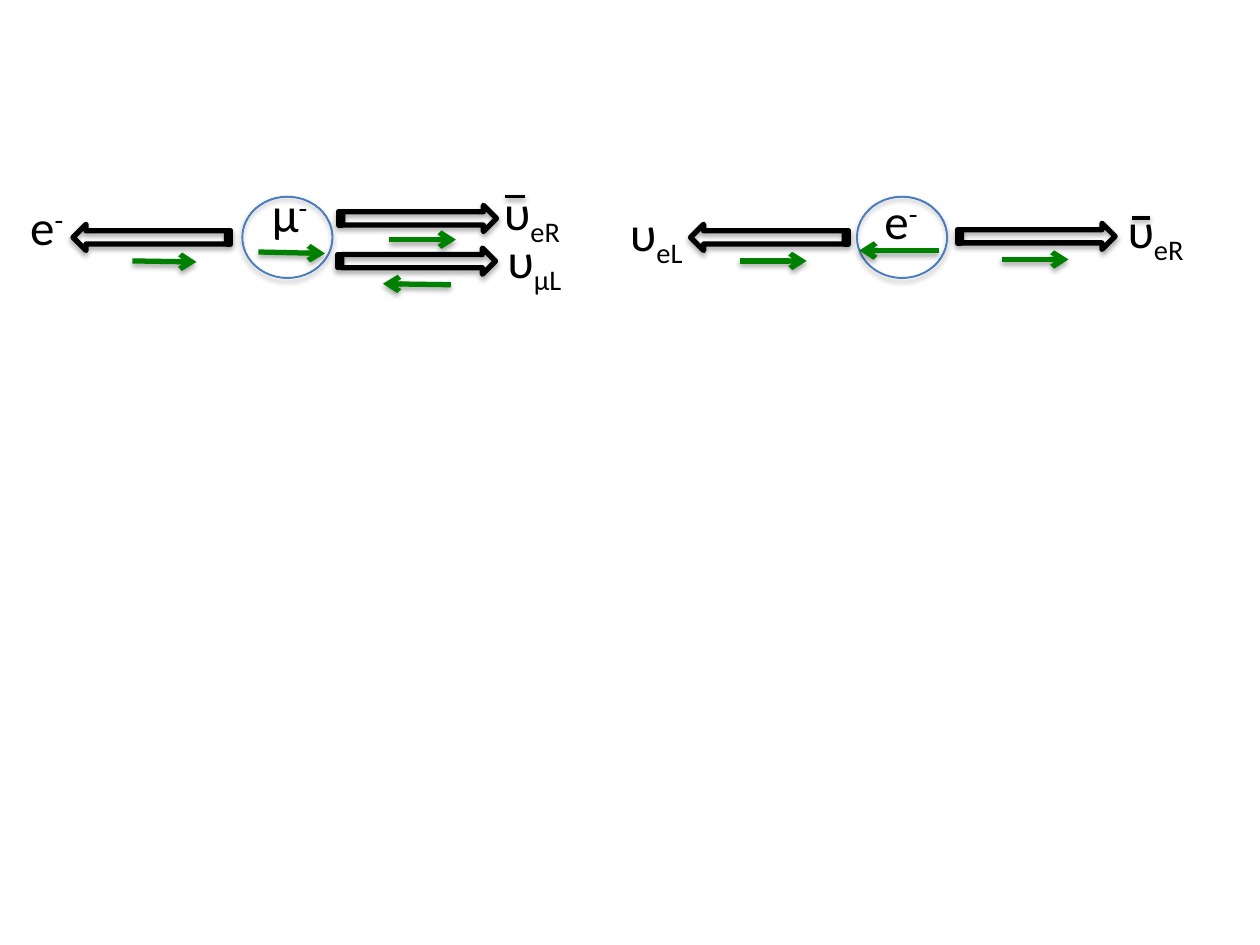
import dataclasses

import pptx
import pptx.dml.color
import pptx.enum.dml
import pptx.enum.shapes
import pptx.enum.text
import pptx.oxml
import pptx.oxml.ns
import pptx.util

Cm = pptx.util.Cm
Pt = pptx.util.Pt
Shape = pptx.enum.shapes.MSO_SHAPE


@dataclasses.dataclass(frozen=True)
class Theme:
    font: str = "Calibri"
    text_size: float = 28
    ink: str = "000000"
    spin: str = "008000"
    ring_line: str = "4B7EBC"
    ring_start: str = "3F80CE"
    ring_end: str = "A4C4FF"
    ring_width: float = 0.75
    arrow_width: float = 3
    bar_width: float = 2


class DecayDiagram:
    def __init__(self, page, theme):
        self.page = page
        self.theme = theme

    def color(self, value):
        return pptx.dml.color.RGBColor.from_string(value)

    def stroke(self, shape, color, width):
        shape.line.color.rgb = self.color(color)
        shape.line.width = Pt(width)

    def shadow(self, shape, alpha=35, distance=1.8):
        effects = pptx.oxml.parse_xml(
            f'<a:effectLst {pptx.oxml.ns.nsdecls("a")}>'
            f'<a:outerShdw blurRad="{Pt(3.1)}" dist="{Pt(distance)}" '
            'dir="5400000" rotWithShape="0">'
            f'<a:srgbClr val="{self.theme.ink}"><a:alpha val="{alpha * 1000}"/>'
            '</a:srgbClr></a:outerShdw></a:effectLst>'
        )
        shape._element.spPr.append(effects)

    def ring(self, left, top):
        ring = self.page.shapes.add_shape(
            Shape.DONUT, Cm(left), Cm(top), Cm(1.83), Cm(1.65))
        ring.adjustments[0] = 0.007
        ring.fill.gradient()
        ring.fill.gradient_angle = 90
        colors = (self.theme.ring_start, self.theme.ring_end)
        for stop, position, color in zip(ring.fill.gradient_stops, (0, 1), colors):
            stop.position = position
            stop.color.rgb = self.color(color)
        self.stroke(ring, self.theme.ring_line, self.theme.ring_width)
        self.shadow(ring)

    def momentum(self, left, top, rotation=0):
        arrow = self.page.shapes.add_shape(
            Shape.STRIPED_RIGHT_ARROW, Cm(left), Cm(top), Cm(3.18), Cm(0.53))
        arrow.rotation = rotation
        arrow.fill.background()
        self.stroke(arrow, self.theme.ink, self.theme.arrow_width)
        self.shadow(arrow)

    def connector(self, start, end, color, width):
        line = self.page.shapes.add_connector(
            pptx.enum.shapes.MSO_CONNECTOR.STRAIGHT,
            *(Cm(value) for value in (*start, *end)))
        self.stroke(line, color, width)
        return line

    def spin(self, start, end):
        line = self.connector(start, end, self.theme.spin, self.theme.arrow_width)
        line.line._get_or_add_ln().append(pptx.oxml.parse_xml(
            f'<a:tailEnd {pptx.oxml.ns.nsdecls("a")} type="arrow"/>'))
        self.shadow(line)

    def bar(self, start, end):
        line = self.connector(start, end, self.theme.ink, self.theme.bar_width)
        self.shadow(line, alpha=38, distance=1.6)

    def particle(self, left, top, width, symbol, mark, baseline, wrap=False):
        box = self.page.shapes.add_textbox(Cm(left), Cm(top), Cm(width), Cm(1.45))
        box.text_frame.word_wrap = wrap
        box.text_frame.auto_size = pptx.enum.text.MSO_AUTO_SIZE.SHAPE_TO_FIT_TEXT
        para = box.text_frame.paragraphs[0]
        para.font.name = self.theme.font
        para.font.size = Pt(self.theme.text_size)
        para.font.color.rgb = self.color(self.theme.ink)
        para.add_run().text = symbol
        span = para.add_run()
        span.text = mark
        span._r.get_or_add_rPr().set("baseline", str(baseline * 1000))


SUPER, SUB = 30, -25

deck = pptx.Presentation()
deck.slide_width, deck.slide_height = Cm(25.4), Cm(19.05)
page = deck.slides.add_slide(deck.slide_layouts[6])
diagram = DecayDiagram(page, Theme())

for left in (4.88, 17.27):
    diagram.ring(left, 3.96)

for left, top, rotation in (
    (6.83, 4.14, 0),
    (6.81, 5.0, 0),
    (1.47, 4.52, 180),
    (19.3, 4.5, 0),
    (13.92, 4.52, 180),
):
    diagram.momentum(left, top, rotation)

for left, top, width, symbol, mark, baseline, wrap in (
    (5.23, 3.58, 1.47, "μ", "-", SUPER, True),
    (9.91, 3.53, 1.75, "υ", "eR", SUB, False),
    (0.36, 3.84, 1.22, "e", "-", SUPER, False),
    (9.98, 4.5, 1.7, "υ", "μL", SUB, False),
    (22.48, 3.89, 1.75, "υ", "eR", SUB, False),
    (17.58, 3.71, 1.47, "e", "-", SUPER, True),
    (12.45, 3.96, 1.65, "υ", "eL", SUB, False),
):
    diagram.particle(left, top, width, symbol, mark, baseline, wrap)

for start, end in (
    ((2.67, 5.26), (3.96, 5.28)),
    ((9.09, 5.74), (7.72, 5.72)),
    ((7.85, 4.83), (9.19, 4.83)),
    ((5.21, 5.08), (6.55, 5.11)),
    ((18.92, 5.05), (17.32, 5.05)),
    ((20.19, 5.23), (21.54, 5.23)),
    ((14.91, 5.26), (16.26, 5.26)),
):
    diagram.spin(start, end)

for start, end in (
    ((10.59, 3.96), (10.19, 3.96)),
    ((23.19, 4.39), (22.81, 4.39)),
):
    diagram.bar(start, end)

deck.save("out.pptx")
